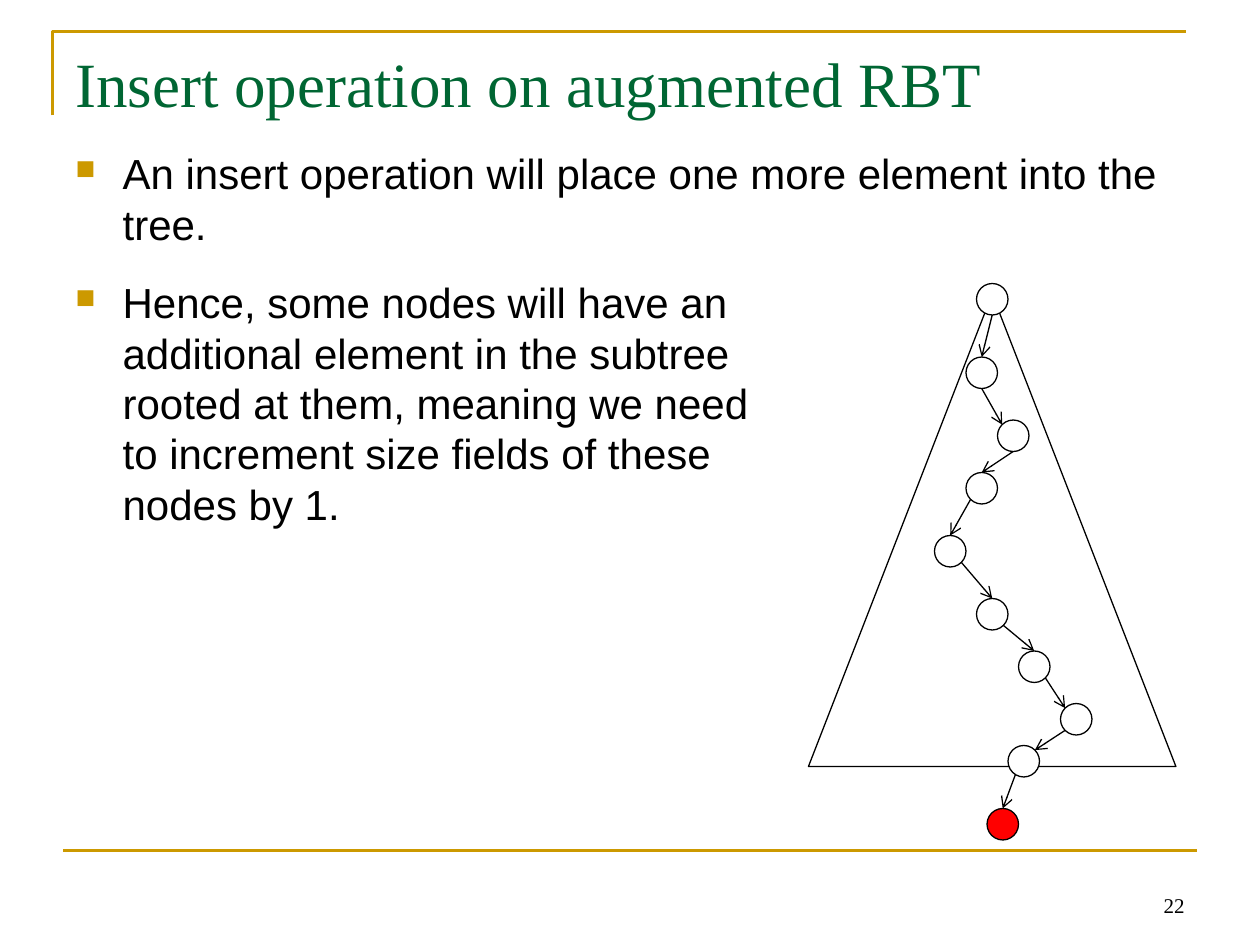
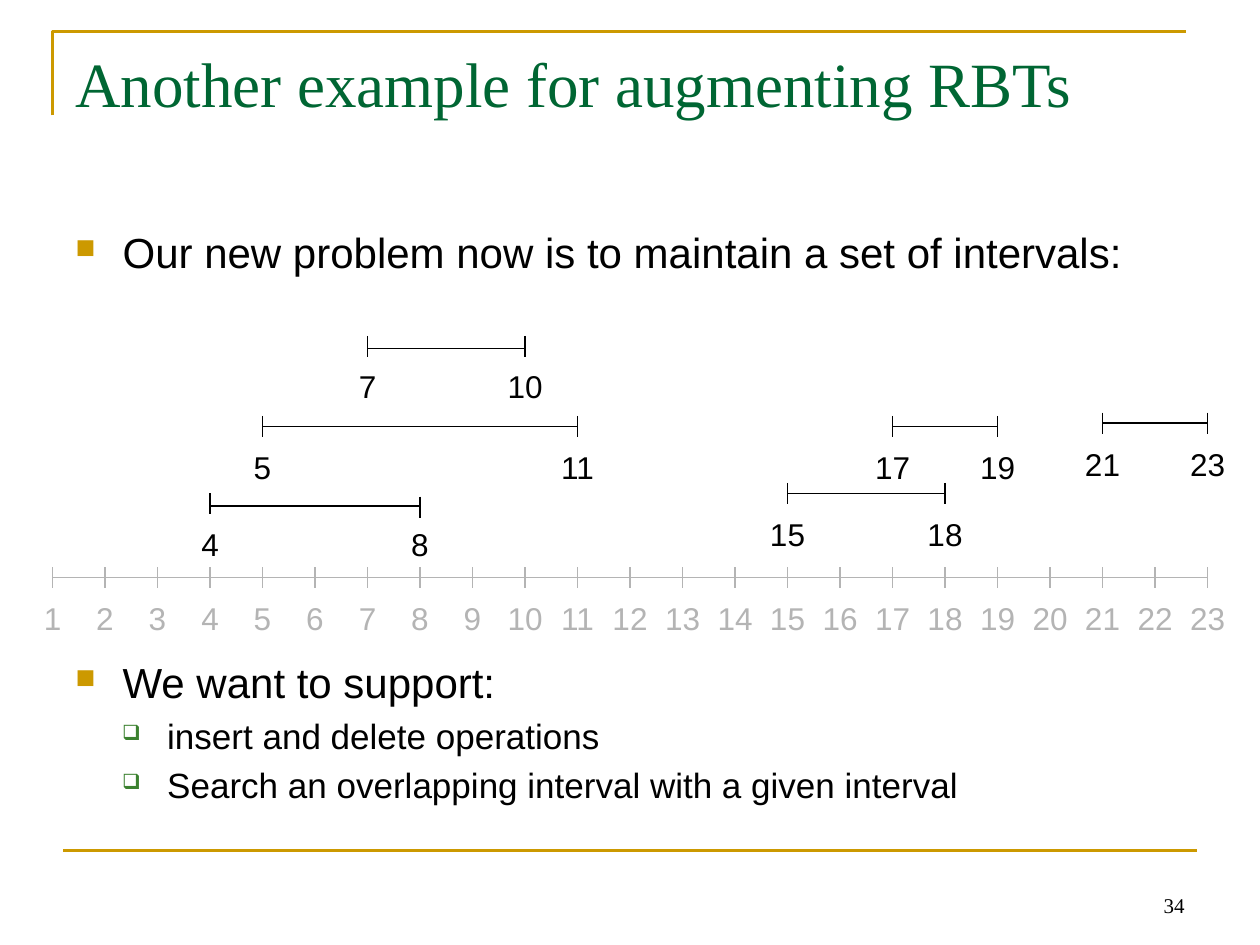
"""Build two slides on augmented red-black trees: insertion and intervals."""
from dataclasses import dataclass
from enum import Enum
from itertools import pairwise
from math import sqrt

from lxml.etree import SubElement
from pptx import Presentation
from pptx.dml.color import RGBColor
from pptx.enum.shapes import MSO_CONNECTOR, MSO_SHAPE as Shape
from pptx.enum.text import MSO_ANCHOR as Anchor, MSO_AUTO_SIZE as Auto, PP_ALIGN as Align
from pptx.oxml.ns import qn
from pptx.util import Emu, Inches, Pt

GOLD = RGBColor(0xCC, 0x99, 0x00)
DARK_GREEN = RGBColor(0x00, 0x66, 0x33)
LEAF_GREEN = RGBColor(0x3B, 0x81, 0x2F)
BLACK = RGBColor(0x00, 0x00, 0x00)
WHITE = RGBColor(0xFF, 0xFF, 0xFF)
RED = RGBColor(0xFF, 0x00, 0x00)
GREY = RGBColor(0xB4, 0xB4, 0xB4)

SERIF, SANS = "Times New Roman", "Arial"
WIDTH, HEIGHT = Inches(10), Inches(7.5)
COLS = 120
CELL = WIDTH / COLS
NODE = 3
AXIS_ROW = 54
LAST_NUMBER = 23


@dataclass(frozen=True)
class Style:
    size: float
    name: str = SANS
    color: RGBColor = BLACK


TITLE = Style(36, SERIF, DARK_GREEN)
PAGE = Style(12, SERIF)


@dataclass(frozen=True)
class Level:
    style: Style
    mark: str
    color: RGBColor
    percent: int
    margin: float
    hang: float


POINT = Level(Style(24), "■", GOLD, 65, 4.5, 4.5)
SUBPOINT = Level(Style(20), "❑", LEAF_GREEN, 60, 8.75, 4.3)


@dataclass(frozen=True)
class Bullet:
    text: str
    before: float = 0
    level: Level = POINT


DIAGONAL = NODE / 2 / sqrt(2)


class Port(Enum):
    """Offsets from a node's centre at which an arrow may touch it."""
    TOP = (0, -NODE / 2)
    BOTTOM = (0, NODE / 2)
    TOP_LEFT = (-DIAGONAL, -DIAGONAL)
    TOP_RIGHT = (DIAGONAL, -DIAGONAL)
    LOW_LEFT = (-DIAGONAL, DIAGONAL)
    LOW_RIGHT = (DIAGONAL, DIAGONAL)
    INSIDE = (-0.5, 0.5)


@dataclass(frozen=True)
class Node:
    col: float
    row: float
    leave: Port = Port.BOTTOM
    enter: Port = Port.TOP
    fill: RGBColor = WHITE

    def at(self, port: Port) -> tuple[float, float]:
        dx, dy = port.value
        return self.col + NODE / 2 + dx, self.row + NODE / 2 + dy


INSERT_WALK = (
    Node(93, 27),
    Node(92, 34),
    Node(95, 40, enter=Port.TOP_LEFT),
    Node(92, 45, Port.LOW_LEFT),
    Node(89, 51, Port.LOW_RIGHT),
    Node(93, 57, Port.LOW_RIGHT),
    Node(97, 62, Port.LOW_RIGHT),
    Node(101, 67, Port.LOW_LEFT, Port.TOP_LEFT),
    Node(96, 71, Port.INSIDE, Port.TOP_RIGHT),
    Node(94, 77, fill=RED),
)


@dataclass(frozen=True)
class Interval:
    start: int
    end: int
    row: float
    drop: float = 1
    skew: float = 0
    label: float = 2.5


INTERVALS = (
    Interval(4, 8, 47, 1.2, 0.3, 2.4),
    Interval(5, 11, 39.6),
    Interval(7, 10, 32, 1.2, 0, 2.4),
    Interval(15, 18, 46),
    Interval(17, 19, 39.6),
    Interval(21, 23, 39.3),
)


def u(cells: float) -> Emu:
    """Turn grid cells into a length."""
    return Emu(round(cells * CELL))


def assign(target, values: dict) -> None:
    """Set every attribute named in the dict."""
    for key, value in values.items():
        setattr(target, key, value)


def style_runs(p, style: Style) -> None:
    """Give each run of a paragraph one font."""
    for r in p.runs:
        assign(r.font, {"size": Pt(style.size), "name": style.name})
        r.font.color.rgb = style.color


def add_box(s, col: float, row: float, cols: float, rows: float, **frame):
    """Add a text box on the grid and return its frame."""
    tf = s.shapes.add_textbox(u(col), u(row), u(cols), u(rows)).text_frame
    assign(tf, {"word_wrap": True, **frame})
    return tf


def add_text(tf, text: str, style: Style, align: Align = Align.LEFT) -> None:
    """Fill a frame with one styled paragraph."""
    p = tf.paragraphs[0]
    assign(p, {"text": text, "alignment": align})
    style_runs(p, style)


def add_bullets(tf, bullets: tuple[Bullet, ...]) -> None:
    """Write bulleted paragraphs into a frame."""
    for i, bullet in enumerate(bullets):
        p = tf.add_paragraph() if i else tf.paragraphs[0]
        level = bullet.level
        assign(p, {"text": bullet.text, "space_before": Pt(bullet.before),
                   "level": int(level is SUBPOINT)})
        style_runs(p, level.style)
        ppr = p._p.get_or_add_pPr()
        ppr.set("marL", str(u(level.margin)))
        ppr.set("indent", str(-u(level.hang)))
        color = SubElement(ppr, qn("a:buClr"))
        SubElement(color, qn("a:srgbClr"), val=str(level.color))
        SubElement(ppr, qn("a:buSzPct"), val=str(level.percent * 1000))
        SubElement(ppr, qn("a:buChar"), char=level.mark)


def add_line(s, start: tuple[float, float], end: tuple[float, float],
             color: RGBColor = BLACK, width: float = 0.75, arrow: bool = False) -> None:
    """Draw a straight connector between two grid points."""
    line = s.shapes.add_connector(MSO_CONNECTOR.STRAIGHT, *map(u, (*start, *end)))
    line.line.width = Pt(width)
    line.line.color.rgb = color
    if arrow:
        SubElement(line.line._get_or_add_ln(), qn("a:tailEnd"), type="arrow")
    SubElement(line._element.spPr, qn("a:effectLst"))


def finish(sp, line: RGBColor, width: float, fill: RGBColor | None = None) -> None:
    """Set a shape's outline and fill and drop its shadow."""
    sp.shadow.inherit = False
    sp.line.width = Pt(width)
    sp.line.color.rgb = line
    if fill is None:
        sp.fill.background()
    else:
        sp.fill.solid()
        sp.fill.fore_color.rgb = fill


def add_shape(s, kind: Shape, box: tuple[float, ...], fill: RGBColor | None = None) -> None:
    """Add a thinly outlined preset shape."""
    finish(s.shapes.add_shape(kind, *map(u, box)), BLACK, 0.75, fill)


def add_slide(prs, title: str, page: int):
    """Add a slide with the gold frame, title and page number."""
    s = prs.slides.add_slide(prs.slide_layouts[6])
    corner = s.shapes.build_freeform(u(5), u(11))
    corner.add_line_segments([(u(5), u(3)), (u(113), u(3))], close=False)
    finish(corner.convert_to_shape(), GOLD, 1.5)
    add_line(s, (6, 81), (114, 81), GOLD, 1.5)
    add_text(add_box(s, 86, 82, 28, 6, vertical_anchor=Anchor.BOTTOM),
             str(page), PAGE, Align.RIGHT)
    add_text(add_box(s, 6, 3.6, 108, 15), title, TITLE)
    return s


def number_col(number: int) -> float:
    """Give the column of a number on the axis."""
    return 5 * number


def add_tick(s, number: int, row: float, label_row: float, color: RGBColor) -> None:
    """Draw a tick with its number below."""
    col = number_col(number)
    add_line(s, (col, row), (col, row + 2), color)
    cols = 2.4 + 1.68 * len(str(number))
    tf = add_box(s, col - cols / 2, label_row, cols, 4.8,
                 word_wrap=False, auto_size=Auto.SHAPE_TO_FIT_TEXT)
    add_text(tf, str(number), Style(18, color=color), Align.CENTER)


def build_insert_slide(prs) -> None:
    """Show the path walked by an insertion."""
    s = add_slide(prs, "Insert operation on augmented RBT", 22)
    add_bullets(add_box(s, 6, 13.5, 108, 30.5), (
        Bullet("An insert operation will place one more element into the tree."),
        Bullet("Hence, some nodes will have an \vadditional element in the subtree \v"
               "rooted at them, meaning we need \vto increment size fields of these \v"
               "nodes by 1.", 16),
    ))
    add_shape(s, Shape.ISOSCELES_TRIANGLE, (77, 28, 35, 45))
    for parent, child in pairwise(INSERT_WALK):
        add_line(s, parent.at(parent.leave), child.at(child.enter), arrow=True)
    for node in INSERT_WALK:
        add_shape(s, Shape.OVAL, (node.col, node.row, NODE, NODE), node.fill)


def build_interval_slide(prs) -> None:
    """Show a set of intervals above a number axis."""
    s = add_slide(prs, "Another example for augmenting RBTs", 34)
    add_bullets(add_box(s, 6, 21, 108, 59.4), (
        Bullet("Our new problem now is to maintain a set of intervals:"),
        Bullet("We want to support:", 217),
        Bullet("insert and delete operations", 4, SUBPOINT),
        Bullet("Search an overlapping interval with a given interval", 4, SUBPOINT),
    ))
    add_line(s, (number_col(1), AXIS_ROW + 1), (number_col(LAST_NUMBER), AXIS_ROW + 1), GREY)
    for number in range(1, LAST_NUMBER + 1):
        add_tick(s, number, AXIS_ROW, AXIS_ROW + 2.5, GREY)
    for iv in INTERVALS:
        row, label_row = iv.row + iv.drop, iv.row + iv.label
        add_line(s, (number_col(iv.start), row), (number_col(iv.end), row))
        add_tick(s, iv.start, iv.row, label_row, BLACK)
        add_tick(s, iv.end, iv.row + iv.skew, label_row, BLACK)


def main() -> None:
    """Build and save the presentation."""
    prs = Presentation()
    assign(prs, {"slide_width": WIDTH, "slide_height": HEIGHT})
    build_insert_slide(prs)
    build_interval_slide(prs)
    prs.save("out.pptx")


if __name__ == "__main__":
    main()
